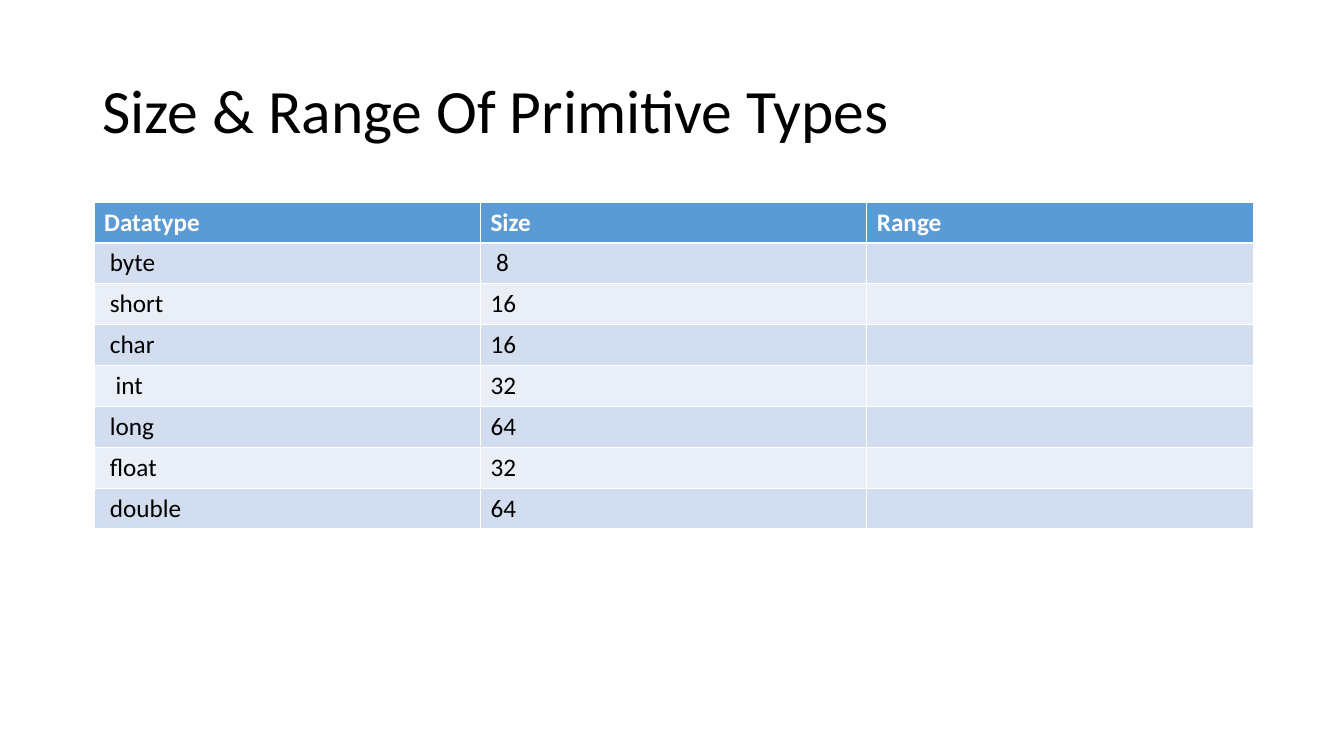
"""Build a slide with a table of primitive type sizes."""
from pptx import Presentation
from pptx import util as u
from pptx.dml.color import RGBColor
from pptx.enum import text


def paint(fmt, color):
    fmt.solid()
    fmt.fore_color.rgb = RGBColor.from_string(color)


def write(p, content, color, **values):
    r = p.add_run()
    r.text = content
    for name, value in {"name": "Calibri", **values}.items():
        setattr(r.font, name, value)
    paint(r.font.fill, color)


prs = Presentation()
prs.slide_width, prs.slide_height = u.Pt(960), u.Pt(540)
s = prs.slides.add_slide(prs.slide_layouts[6])

sp = s.shapes.add_textbox(u.Pt(66), u.Pt(28.75), u.Pt(828), u.Pt(104.4))
tf = sp.text_frame
for name, value in {"word_wrap": True, "vertical_anchor": text.MSO_ANCHOR.MIDDLE}.items():
    setattr(tf, name, value)
p = tf.paragraphs[0]
p.line_spacing = 0.9
write(p, "Size & Range Of Primitive Types", "000000", size=u.Pt(44))

rows = [
    ("Datatype", "Size", "Range"),
    (" byte", " 8", ""),
    (" short", "16", ""),
    (" char", "16", ""),
    ("  int", "32", ""),
    (" long", "64", ""),
    (" float", "32", ""),
    (" double", "64", ""),
]
bands = ["EAEFF7", "D2DEEF"]
table = s.shapes.add_table(len(rows), 3, u.Pt(67.2), u.Pt(144.3), u.Pt(828), u.Pt(233.6)).table
for i, row in enumerate(rows):
    header = i == 0
    fill = "5B9BD5" if header else bands[i % 2]
    color = "FFFFFF" if header else "000000"
    for j, content in enumerate(row):
        cell = table.cell(i, j)
        paint(cell.fill, fill)
        if content:
            write(cell.text_frame.paragraphs[0], content, color, size=u.Pt(18), bold=header)

prs.save("out.pptx")
